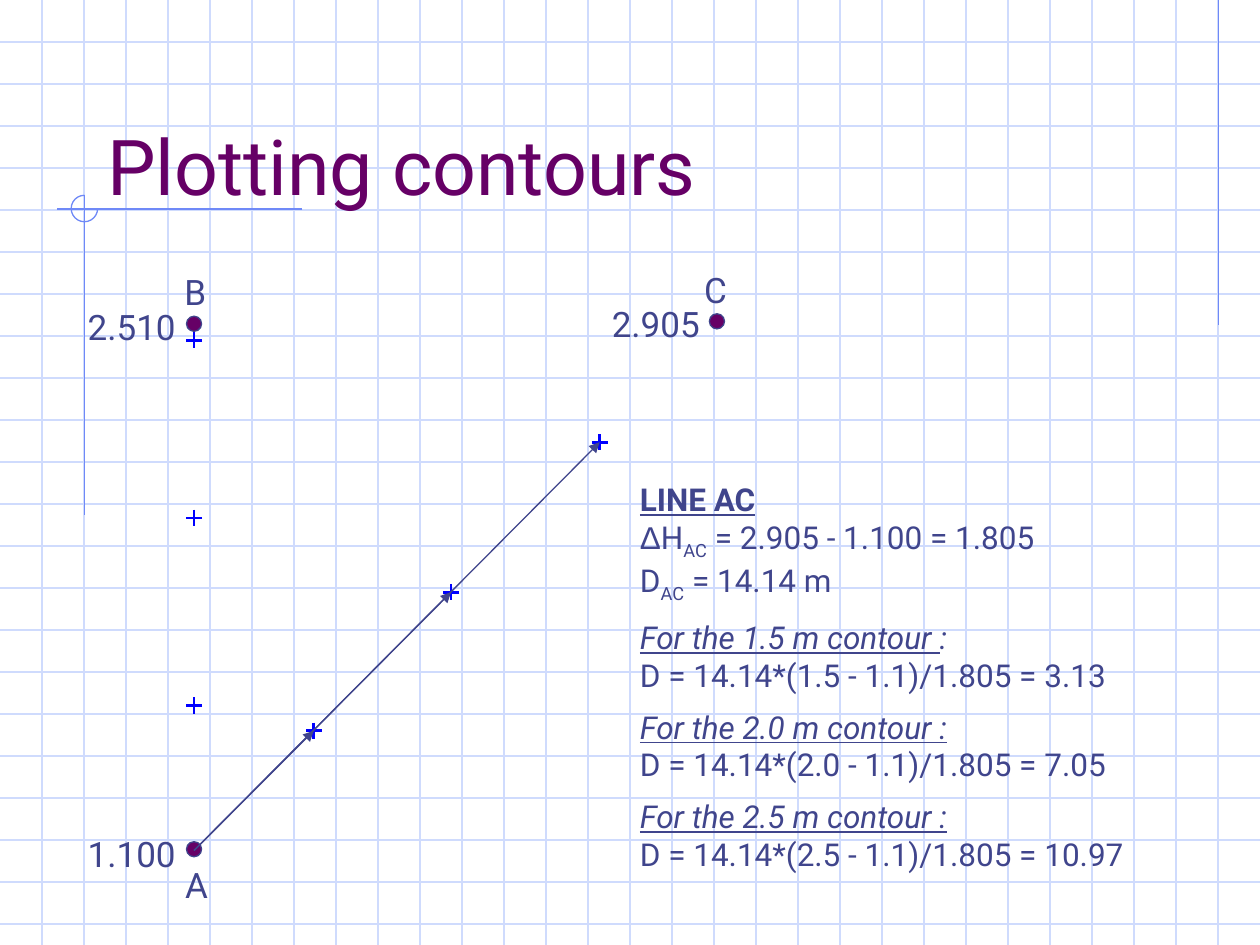
"""Build a slide that plots contour points along the line AC."""
from lxml import etree
from pptx import Presentation
from pptx.dml.color import RGBColor
from pptx.enum.shapes import MSO_CONNECTOR, MSO_SHAPE
from pptx.enum.text import MSO_ANCHOR, MSO_AUTO_SIZE, PP_ALIGN
from pptx.oxml.ns import qn
from pptx.util import Inches, Pt

STRAIGHT = MSO_CONNECTOR.STRAIGHT
OVAL, ARC = MSO_SHAPE.OVAL, MSO_SHAPE.ARC
MIDDLE = MSO_ANCHOR.MIDDLE
LEFT, CENTER = PP_ALIGN.LEFT, PP_ALIGN.CENTER
FIT_SHAPE = MSO_AUTO_SIZE.SHAPE_TO_FIT_TEXT

GRID = RGBColor(0xCF, 0xDB, 0xFD)
ACCENT = RGBColor(0x6F, 0x89, 0xF7)
PURPLE = RGBColor(0x66, 0x00, 0x66)
INK = RGBColor(0x40, 0x45, 0x8C)
BLUE = RGBColor(0x00, 0x00, 0xFF)
FONT = "Roboto"

WIDTH, HEIGHT = 10, 7.5
GRID_STEP = 1 / 3
DOT, CROSS = 0.12, 0.13

TITLE = "Plotting contours"
ACCENT_LINES = [
    ((9.67, 0), (9.67, 2.58)),
    ((2.4, 1.66), (0.45, 1.66)),
    ((0.67, 1.55), (0.67, 4.09)),
]
STATION_DOTS = [(1.54, 6.74), (1.54, 2.57), (5.69, 2.55)]
LABELS = [
    ("1.100", 0.59, 6.55, 0.91),
    ("2.905", 4.75, 2.35, 0.91),
    ("2.510", 0.59, 2.37, 0.91),
    ("A", 1.37, 6.8, 0.38),
    ("B", 1.36, 2.09, 0.38),
    ("C", 5.49, 2.08, 0.37),
]
AB_CROSSES = [(1.54, 2.7), (1.54, 5.6), (1.54, 4.11)]
AC_CROSSES = [(2.49, 5.8), (3.58, 4.7), (4.76, 3.51)]
ARROW_START = (1.54, 6.75)

PLAIN, HEADING, CONTOUR, ITALIC, SUB, GREEK = (
    "plain", "heading", "contour", "italic", "sub", "greek")
WORKING = [
    [("LINE AC", HEADING)],
    [("Δ", GREEK), ("H", PLAIN), ("AC", SUB), (" = 2.905 - 1.100 = 1.805", PLAIN)],
    [("D", PLAIN), ("AC", SUB), (" = 14.14 m", PLAIN)],
    [("For the 1.5 m contour ", CONTOUR), (":", ITALIC)],
    [("D = 14.14*(1.5 - 1.1)/1.805 = 3.13", PLAIN)],
    [("For the 2.0 m contour :", CONTOUR)],
    [("D = 14.14*(2.0 - 1.1)/1.805 = 7.05", PLAIN)],
    [("For the 2.5 m contour :", CONTOUR)],
    [("D = 14.14*(2.5 - 1.1)/1.805 = 10.97", PLAIN)],
]


def add_line(slide, start, end, color, width=0.75, arrow=False):
    line = slide.shapes.add_connector(STRAIGHT, *map(Inches, (*start, *end)))
    line.line.color.rgb = color
    line.line.width = Pt(width)
    if arrow:
        etree.SubElement(line.line._get_or_add_ln(), qn("a:tailEnd"), type="triangle")
    etree.SubElement(line._element.spPr, qn("a:effectLst"))


def add_cross(slide, x, y):
    half = CROSS / 2
    add_line(slide, (x, y - half), (x, y + half), BLUE, 1.5)
    add_line(slide, (x + half, y), (x - half, y), BLUE, 1.5)


def add_round(slide, kind, x, y, size, line_color):
    shape = slide.shapes.add_shape(
        kind, Inches(x - size / 2), Inches(y - size / 2), Inches(size), Inches(size))
    shape.shadow.inherit = False
    shape.line.color.rgb = line_color
    shape.line.width = Pt(0.75)
    return shape


def add_text_box(slide, left, top, width, height):
    box = slide.shapes.add_textbox(*map(Inches, (left, top, width, height)))
    frame = box.text_frame
    frame.word_wrap = False
    frame.auto_size = FIT_SHAPE
    frame.vertical_anchor = MIDDLE
    return frame


def set_font(font, size, color):
    font.name, font.size, font.color.rgb = FONT, Pt(size), color


def add_grid(slide):
    for row in range(1, int(HEIGHT / GRID_STEP) + 1):
        add_line(slide, (0, row * GRID_STEP), (WIDTH, row * GRID_STEP), GRID)
    for column in range(1, round(WIDTH / GRID_STEP)):
        add_line(slide, (column * GRID_STEP, 0), (column * GRID_STEP, HEIGHT), GRID)
    for start, end in ACCENT_LINES:
        add_line(slide, start, end, ACCENT)
    arc = add_round(slide, ARC, 0.67, 1.655, 0.21, ACCENT)
    arc.fill.background()
    arc.adjustments[0], arc.adjustments[1] = 0, 162


def add_title(slide):
    title = slide.shapes.title
    title.left, title.top, title.width, title.height = map(
        Inches, (0.75, 0.68, 8.5, 1.25))
    title.text_frame.text = TITLE
    title.text_frame.vertical_anchor = MIDDLE
    para = title.text_frame.paragraphs[0]
    para.alignment = LEFT
    set_font(para.font, 44, PURPLE)
    title.element.getparent().append(title.element)


def add_working(slide):
    frame = add_text_box(slide, 4.98, 3.76, 4.14, 3.22)
    for index, spans in enumerate(WORKING):
        para = frame.add_paragraph() if index else frame.paragraphs[0]
        set_font(para.font, 18, INK)
        if spans[0][1] == CONTOUR:
            para.space_before = Pt(8)
        for text, style in spans:
            span = para.add_run()
            span.text = text
            if style == HEADING:
                span.font.bold = True
            if style in (HEADING, CONTOUR):
                span.font.underline = True
            if style in (CONTOUR, ITALIC):
                span.font.italic = True
            if style == GREEK:
                span.font.name = "Arial"
            if style == SUB:
                span._r.get_or_add_rPr().set("baseline", "-25000")


def add_plot(slide):
    for x, y in STATION_DOTS:
        dot = add_round(slide, OVAL, x, y, DOT, INK)
        dot.fill.solid()
        dot.fill.fore_color.rgb = PURPLE
    for text, left, top, width in LABELS:
        frame = add_text_box(slide, left, top, width, 0.44)
        frame.text = text
        para = frame.paragraphs[0]
        para.alignment = CENTER
        set_font(para.font, 20, INK)
    for x, y in AB_CROSSES:
        add_cross(slide, x, y)
    for x, y in AC_CROSSES:
        add_cross(slide, x, y)
        add_line(slide, ARROW_START, (x, y), INK, arrow=True)


def main():
    deck = Presentation()
    deck.slide_width, deck.slide_height = Inches(WIDTH), Inches(HEIGHT)
    slide = deck.slides.add_slide(deck.slide_layouts[5])
    add_grid(slide)
    add_title(slide)
    add_working(slide)
    add_plot(slide)
    deck.save("out.pptx")


if __name__ == "__main__":
    main()
